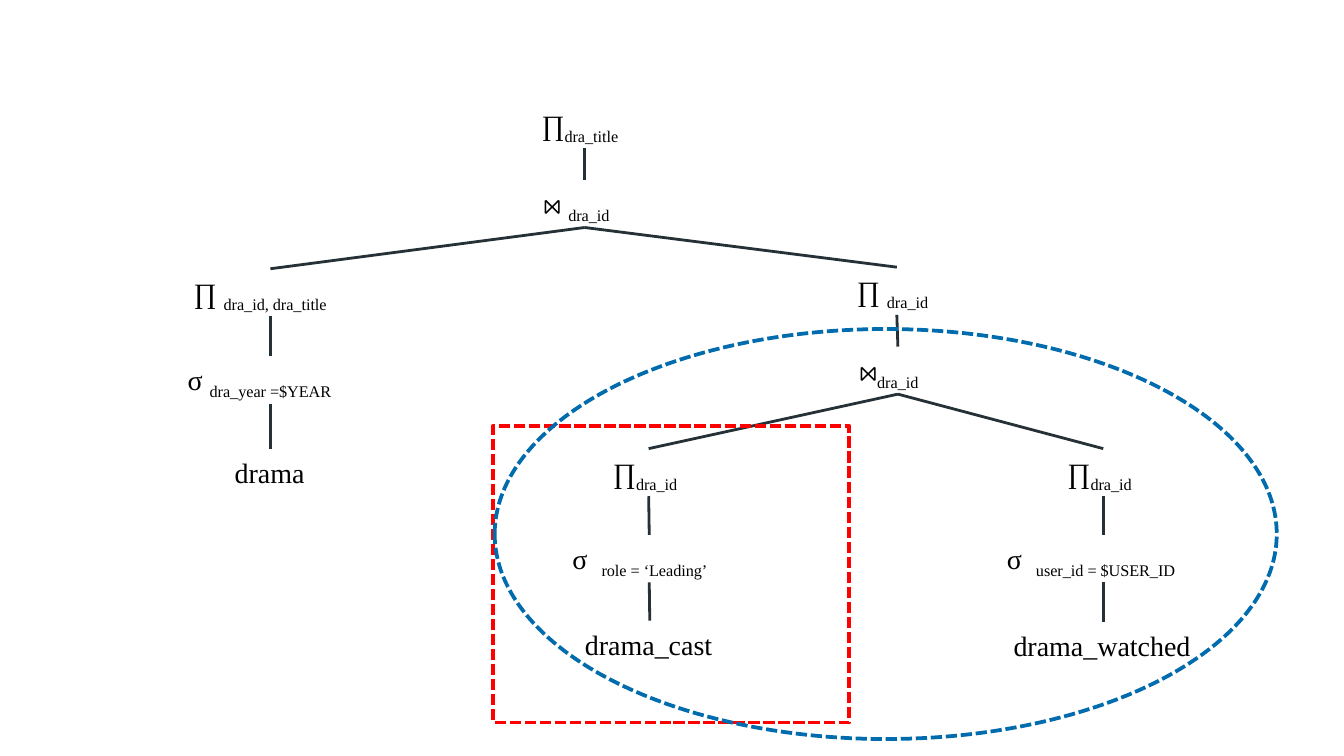
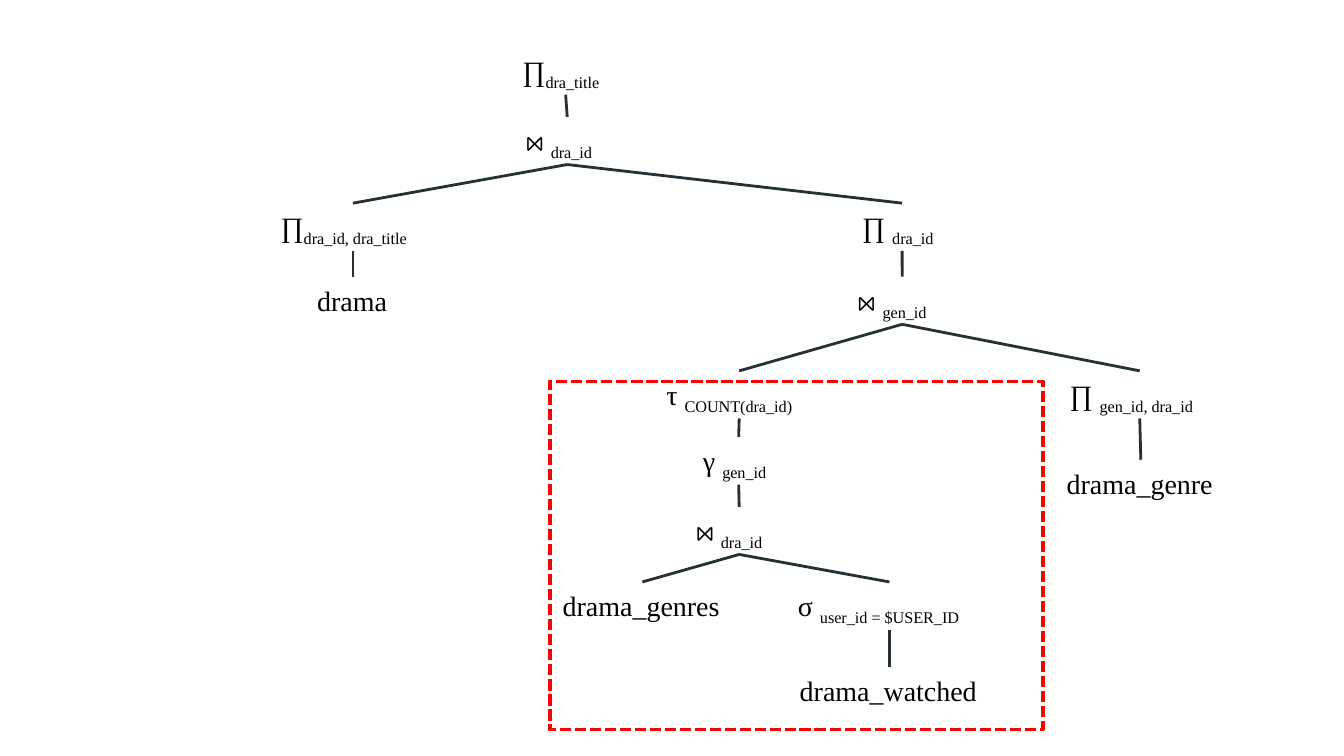
from lxml.etree import SubElement
from pptx import Presentation
from pptx.dml.color import RGBColor
from pptx.enum.dml import MSO_LINE_DASH_STYLE as Dash
from pptx.enum.shapes import MSO_CONNECTOR as Connector, MSO_SHAPE as Shape
from pptx.enum.text import MSO_AUTO_SIZE as AutoSize
from pptx.oxml.ns import qn
from pptx.util import Cm, Pt

BLACK = RGBColor(0x00, 0x00, 0x00)
BRANCH = RGBColor(0x25, 0x31, 0x37)
RED = RGBColor(0xFF, 0x00, 0x00)
BLUE = RGBColor(0x00, 0x6B, 0xAD)
FONT = "Times New Roman"
NODE_HEIGHT = 0.9
BOTTOM, TOP = 2, 0


def add_text(page, operator, subscript="", *, center, top, width, size=15, color=BLACK):
    box = page.shapes.add_textbox(Cm(center - width / 2), Cm(top), Cm(width), Cm(NODE_HEIGHT))
    box.text_frame.word_wrap = False
    box.text_frame.auto_size = AutoSize.SHAPE_TO_FIT_TEXT
    para = box.text_frame.paragraphs[0]
    for text, baseline in ((operator, None), (subscript, "-25000")):
        if text:
            span = para.add_run()
            span.text = text
            span.font.name = FONT
            span.font.size = Pt(size)
            span.font.color.rgb = color
            if baseline:
                span._r.get_or_add_rPr().set("baseline", baseline)
    return box


# name: (parent, operator, subscript, center, top, width)
watched_leading_tree = {
    "title": (None, "∏", "dra_title", 11.05, 1.9, 2.13),
    "join": ("title", "⋈ ", "dra_id", 11.05, 3.4, 2.06),
    "drama columns": ("join", "∏ ", "dra_id, dra_title", 5.11, 5.08, 3.4),
    "year": ("drama columns", "σ ", "dra_year =$YEAR", 5.11, 6.73, 3.63),
    "drama": ("year", "drama", "", 5.11, 8.48, 1.85),
    "ids": ("join", "∏ ", "dra_id", 16.95, 5.05, 2.01),
    "inner join": ("ids", "⋈", "dra_id", 16.97, 6.55, 1.96),
    "cast ids": ("inner join", "∏", "dra_id", 12.26, 8.48, 1.85),
    "leading": ("cast ids", "σ  ", "role = ‘Leading’", 12.27, 10.11, 3.4),
    "cast": ("leading", "drama_cast", "", 12.28, 11.73, 2.95),
    "watched ids": ("inner join", "∏", "dra_id", 20.85, 8.48, 1.85),
    "user": ("watched ids", "σ  ", "user_id = $USER_ID", 20.85, 10.11, 4.14),
    "watched": ("user", "drama_watched", "", 20.85, 11.76, 3.89),
}
favourite_genre_tree = {
    "title": (None, "∏", "dra_title", 10.69, 0.89, 2.13),
    "join": ("title", "⋈ ", "dra_id", 10.72, 2.21, 2.06),
    "drama columns": ("join", "∏", "dra_id, dra_title", 6.67, 3.84, 3.23),
    "drama": ("drama columns", "drama", "", 6.67, 5.23, 1.85),
    "ids": ("join", "∏ ", "dra_id", 17.05, 3.84, 2.01),
    "genre join": ("ids", "⋈ ", "gen_id", 17.05, 5.23, 2.18),
    "sort": ("genre join", "τ ", "COUNT(dra_id)", 13.97, 7.01, 3.25),
    "group": ("sort", "γ ", "gen_id", 13.96, 8.26, 1.85),
    "inner join": ("group", "⋈ ", "dra_id", 13.97, 9.58, 2.13),
    "genres": ("inner join", "drama_genres", "", 12.14, 11, 3.51),
    "user": ("inner join", "σ ", "user_id = $USER_ID", 16.81, 11, 3.96),
    "watched": ("user", "drama_watched", "", 16.81, 12.6, 3.89),
    "genre columns": ("genre join", "∏ ", "gen_id, dra_id", 21.54, 7.01, 3.15),
    "genre": ("genre columns", "drama_genre", "", 21.56, 8.69, 3.3),
}
pages = [
    (watched_leading_tree, [
        (Shape.RECTANGLE, RED, 9.32, 8.05, 6.73, 5.61),
        (Shape.OVAL, BLUE, 9.35, 6.22, 14.78, 7.75),
    ]),
    (favourite_genre_tree, [(Shape.RECTANGLE, RED, 10.39, 7.21, 9.32, 6.58)]),
]

deck = Presentation()
deck.slide_width, deck.slide_height = Cm(25.4), Cm(14.29)

for tree, outlines in pages:
    page = deck.slides.add_slide(deck.slide_layouts[6])
    boxes = {}
    for name, (parent, operator, subscript, center, top, width) in tree.items():
        boxes[name] = add_text(page, operator, subscript, center=center, top=top, width=width)
        if parent:
            branch = page.shapes.add_connector(Connector.STRAIGHT, 0, 0, 0, 0)
            branch.begin_connect(boxes[parent], BOTTOM)
            branch.end_connect(boxes[name], TOP)
            branch.line.color.rgb = BRANCH
            branch.line.width = Pt(1.5)
            SubElement(branch._element.spPr, qn("a:effectLst"))

    for kind, color, left, top, width, height in outlines:
        outline = page.shapes.add_shape(kind, Cm(left), Cm(top), Cm(width), Cm(height))
        outline.shadow.inherit = False
        outline.fill.background()
        outline.line.color.rgb = color
        outline.line.width = Pt(2)
        outline.line.dash_style = Dash.SQUARE_DOT

deck.save("out.pptx")
